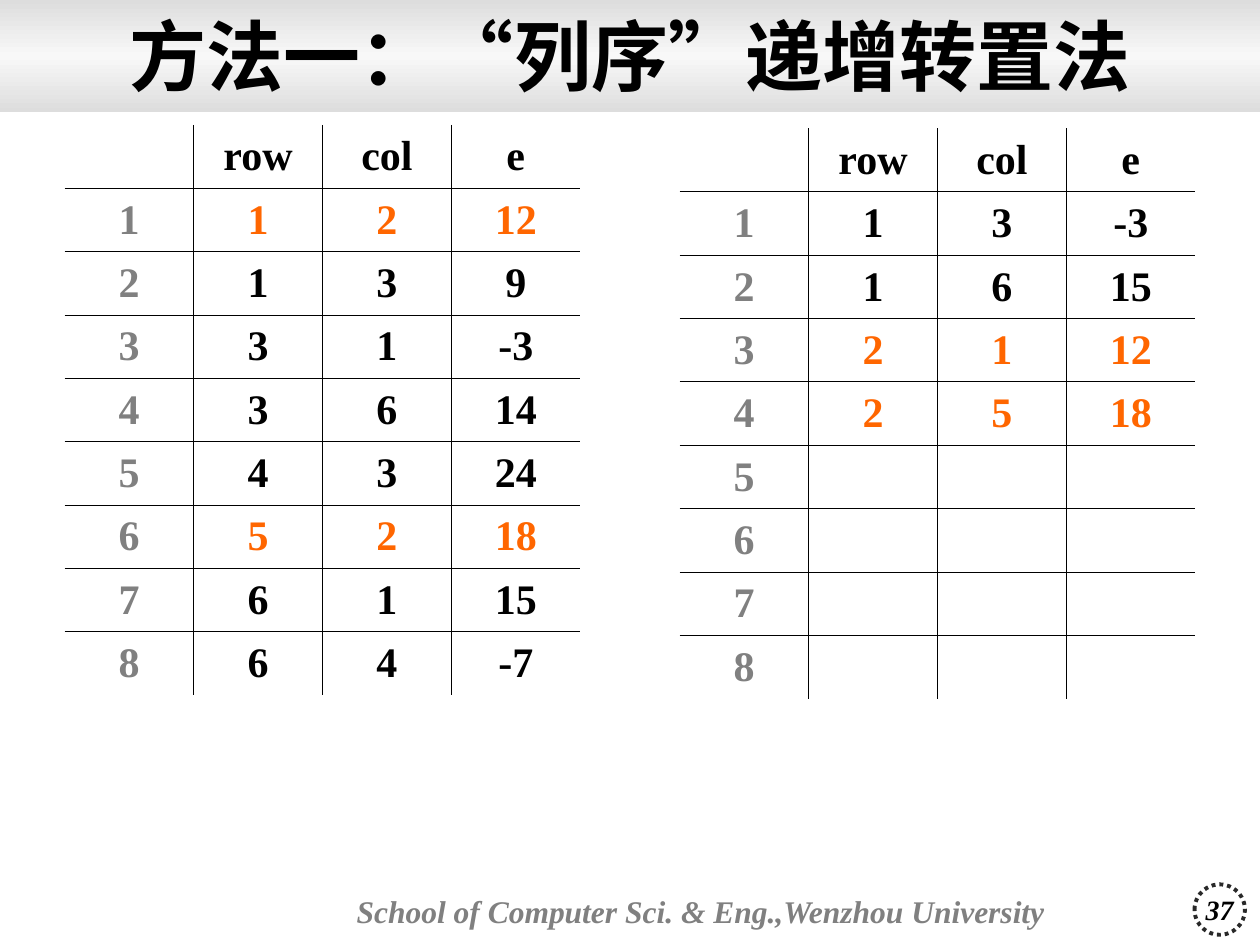
from copy import deepcopy

from lxml.etree import SubElement
from pptx import Presentation
from pptx.dml.color import RGBColor
from pptx.enum.dml import MSO_LINE
from pptx.enum.shapes import MSO_SHAPE
from pptx.enum.text import MSO_ANCHOR, PP_ALIGN
from pptx.oxml.ns import qn
from pptx.util import Pt

SERIF = "Times New Roman"
SANS = "Noto Sans CJK SC"
BLACK, GREY, ORANGE = "000000", "808080", "FF6600"

HEADINGS = ["", "row", "col", "e"]
SOURCE = [(1, 2, 12), (1, 3, 9), (3, 1, -3), (3, 6, 14),
          (4, 3, 24), (5, 2, 18), (6, 1, 15), (6, 4, -7)]
TRANSPOSED = [(1, 3, -3), (1, 6, 15), (2, 1, 12), (2, 5, 18)]
CURRENT_COLUMN = 2


def colour(hex_value):
    return RGBColor.from_string(hex_value)


class MatrixSlide:
    column_width, row_height = Pt(73.65), Pt(36.2)
    border = 0.45
    cell_format = {"size": Pt(24), "bold": True, "name": SERIF}

    def __init__(self, deck):
        self.slide = deck.slides.add_slide(deck.slide_layouts[6])

    def style(self, font, hex_value, **values):
        for attribute, value in values.items():
            setattr(font, attribute, value)
        font.color.rgb = colour(hex_value)

    def fill_text(self, frame, runs, hex_value, align, margins=(7.2, 3.6), wrap=True, **values):
        frame.word_wrap = wrap
        frame.vertical_anchor = MSO_ANCHOR.MIDDLE
        frame.margin_left = frame.margin_right = Pt(margins[0])
        frame.margin_top = frame.margin_bottom = Pt(margins[1])
        paragraph = frame.paragraphs[0]
        paragraph.alignment = align
        for words, face in runs:
            run = paragraph.add_run()
            run.text = words
            self.style(run.font, hex_value, name=face, **values)
            SubElement(run.font._element, qn("a:ea"), typeface=SANS)

    def text(self, box, *args, **values):
        area = self.slide.shapes.add_textbox(*map(Pt, box))
        self.fill_text(area.text_frame, *args, **values)

    def band(self, box, stops):
        band = self.slide.shapes.add_shape(MSO_SHAPE.RECTANGLE, *map(Pt, box))
        band.shadow.inherit = False
        band.line.fill.background()
        band.fill.gradient()
        band.fill.gradient_angle = 90
        stop_list = band._element.spPr.find(".//" + qn("a:gsLst"))
        stop_list.append(deepcopy(stop_list[0]))
        for stop, (position, hex_value) in zip(band.fill.gradient_stops, stops):
            stop.position = position
            stop.color.rgb = colour(hex_value)

    def badge(self, box, number):
        badge = self.slide.shapes.add_shape(MSO_SHAPE.OVAL, *map(Pt, box))
        badge.shadow.inherit = False
        badge.fill.background()
        badge.line.color.rgb = colour("292929")
        badge.line.width = Pt(2.25)
        badge.line.dash_style = MSO_LINE.ROUND_DOT
        self.fill_text(badge.text_frame, [(number, SERIF)], BLACK, PP_ALIGN.CENTER,
                       wrap=False, size=Pt(16), bold=True, italic=True)

    def cell_borders(self, cell, visible):
        properties = cell._tc.get_or_add_tcPr()
        for side, shown in visible.items():
            line = SubElement(properties, qn("a:ln" + side), w=str(Pt(self.border)))
            if shown:
                fill = SubElement(line, qn("a:solidFill"))
                SubElement(fill, qn("a:srgbClr"), val=BLACK)
            else:
                SubElement(line, qn("a:noFill"))

    def triples(self, left, top, entries, key):
        """Table of (row, col, e); entries whose key field is current stand out."""
        rows, columns = len(SOURCE) + 1, len(HEADINGS)
        table = self.slide.shapes.add_table(
            rows, columns, Pt(left), Pt(top),
            self.column_width * columns, self.row_height * rows).table
        table.first_row = table.horz_banding = False
        for column in table.columns:
            column.width = self.column_width
        for r, row in enumerate(table.rows):
            row.height = self.row_height
            entry = entries[r - 1] if 0 < r <= len(entries) else ("",) * 3
            values = [r, *entry] if r else HEADINGS
            ink = ORANGE if r and entry[key] == CURRENT_COLUMN else BLACK
            for c, (cell, value) in enumerate(zip(row.cells, values)):
                self.cell_borders(cell, {"L": c > 0, "R": c < columns - 1,
                                         "T": r > 0, "B": r < rows - 1})
                cell.fill.background()
                cell.vertical_anchor = MSO_ANCHOR.MIDDLE
                cell.text = str(value)
                paragraph = cell.text_frame.paragraphs[0]
                paragraph.alignment = PP_ALIGN.CENTER
                self.style(paragraph.font, ink if c else GREY, **self.cell_format)
                for run in paragraph.runs:
                    self.style(run.font, ink if c else GREY, **self.cell_format)


def main():
    deck = Presentation()
    deck.slide_width, deck.slide_height = Pt(720), Pt(540)
    page = MatrixSlide(deck)

    # Header band, footer and page number
    page.band((0, 0, 720, 64), [(0, "DDDDDD"), (0.5, "F8F8F8"), (1, "DDDDDD")])
    page.text((200.2, 496.8, 431.3, 47.5),
              [("School of Computer Sci. & Eng.,Wenzhou University", SERIF)],
              GREY, PP_ALIGN.LEFT, margins=(3.6, 1.44),
              size=Pt(18), bold=True, italic=True)
    page.badge((682.6, 505.4, 28.8, 28.8), "37")

    # Title
    page.text((0, -1.4, 720, 64.8),
              [("方法一：“", SANS), ("列序", SERIF), ("”", SANS), ("递增转置法", SERIF)],
              BLACK, PP_ALIGN.CENTER, size=Pt(44), bold=True)

    # Source triples by col, transposed triples by row
    page.triples(37, 71.4, SOURCE, key=1)
    page.triples(388.4, 73.4, TRANSPOSED, key=0)

    deck.save("out.pptx")


if __name__ == "__main__":
    main()
